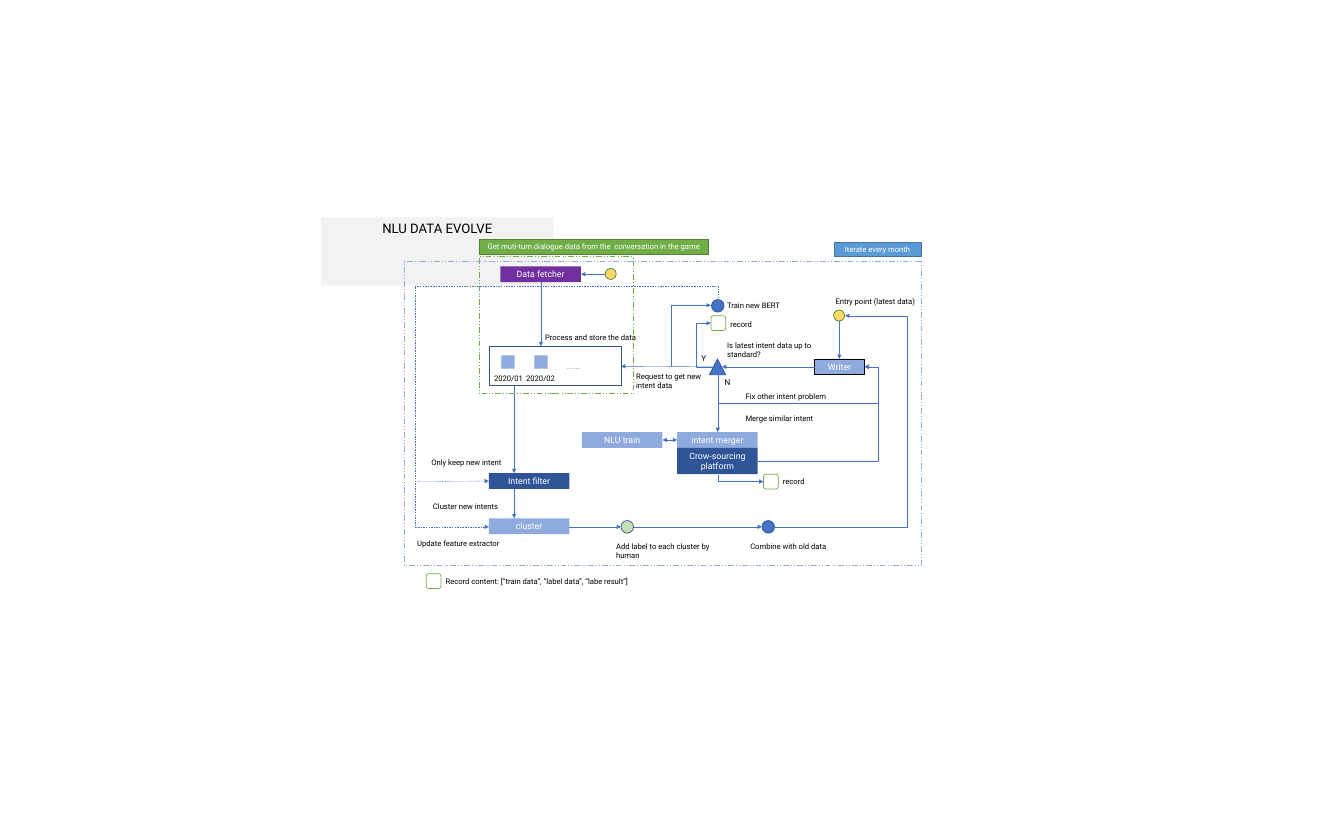
"""Build the NLU data evolve flow chart slide."""
from lxml import etree
from pptx import Presentation
from pptx import util as u
from pptx.dml.color import RGBColor
from pptx.enum import dml, shapes, text
from pptx.oxml.ns import qn

HUE = {
    "black": "000000", "white": "FFFFFF", "grey": "F2F2F2", "gold": "FFD966",
    "moss": "538035", "green": "70AD47", "mint": "C5E0B4", "plum": "7030A0",
    "pale": "8FAADC", "ice": "B4C7E7", "blue": "4472C4", "navy": "325491",
    "deep": "2F5597", "sky": "5B9BD5", "steel": "43739E",
}
KIND = shapes.MSO_SHAPE
DASH = dml.MSO_LINE

deck = Presentation()
deck.slide_width, deck.slide_height = u.Inches(25.54), u.Inches(15.77)
page = deck.slides.add_slide(deck.slide_layouts[6])


def draw(words, at, kind=None, fill=None, line=None, wide=1, dash=None,
         size=10.5, hue="black", top=False):
    """Add a shape of the given kind, or a text box when there is none."""
    spot = [u.Inches(n) for n in at]
    if kind is None:
        item = page.shapes.add_textbox(*spot)
    else:
        item = page.shapes.add_shape(kind, *spot)
        item.shadow.inherit = False
        if fill:
            item.fill.solid()
            item.fill.fore_color.rgb = RGBColor.from_string(HUE[fill])
        else:
            item.fill.background()
        if line:
            item.line.color.rgb = RGBColor.from_string(HUE[line])
            item.line.width = u.Pt(wide)
            item.line.dash_style = dash
        else:
            item.line.fill.background()
    if words:
        frame = item.text_frame
        frame.word_wrap = True
        middle = kind is not None and not top
        frame.vertical_anchor = text.MSO_ANCHOR.MIDDLE if middle else text.MSO_ANCHOR.TOP
        para = frame.paragraphs[0]
        para.alignment = text.PP_ALIGN.CENTER if kind is not None else text.PP_ALIGN.LEFT
        run = para.add_run()
        run.text = words
        run.font.size, run.font.name = u.Pt(size), "Roboto"
        run.font.color.rgb = RGBColor.from_string(HUE[hue])


def link(*stops, ends=("tail",), dash=None):
    """Join the stops; a bent route leaves its first stop sideways."""
    (x1, y1), (x2, y2) = stops[0], stops[-1]
    bent = len(stops) > 2
    sort = shapes.MSO_CONNECTOR.ELBOW if bent else shapes.MSO_CONNECTOR.STRAIGHT
    wire = page.shapes.add_connector(sort, *[u.Inches(n) for n in (x1, y1, x2, y2)])
    wire.line.color.rgb = RGBColor.from_string(HUE["blue"])
    wire.line.width = u.Pt(0.5)
    wire.line.dash_style = dash
    props = wire._element.spPr
    if bent:
        form = props.find(qn("a:prstGeom"))
        form.set("prst", f"bentConnector{len(stops) - 1}")
        bends = [(stops[1][0] - x1) / (x2 - x1), (stops[2][1] - y1) / (y2 - y1)]
        guides = form.find(qn("a:avLst"))
        for i, bend in enumerate(bends[:len(stops) - 3], 1):
            etree.SubElement(guides, qn("a:gd"), name=f"adj{i}",
                             fmla=f"val {round(bend * 100000)}")
    for end in ends:
        etree.SubElement(props.find(qn("a:ln")), qn(f"a:{end}End"), type="triangle")
    etree.SubElement(props, qn("a:effectLst"))


draw("NLU DATA EVOLVE", (6.1, 4.13, 4.42, 1.3), KIND.RECTANGLE, "grey", size=18, top=True)

for words, at, fill, line in [
    ("Get muti-turn dialogue data from the  conversation in the game",
     (9.11, 4.55, 4.35, 0.28), "green", "moss"),
    ("Iterate every month", (15.85, 4.6, 1.65, 0.28), "sky", "steel"),
]:
    draw(words, at, KIND.RECTANGLE, fill, line, hue="white")

for words, x, y, high, fill in [
    ("Data fetcher", 9.51, 5.06, 0.3, "plum"),
    ("NLU train", 11.06, 8.21, 0.3, "pale"),
    ("intent merger", 12.87, 8.21, 0.3, "pale"),
    ("Crow-sourcing platform", 12.87, 8.51, 0.5, "deep"),
    ("Intent filter", 9.29, 8.99, 0.3, "deep"),
    ("cluster", 9.29, 9.85, 0.3, "pale"),
]:
    draw(words, (x, y, 1.53, high), KIND.RECTANGLE, fill, size=12, hue="white")
draw("Writer", (15.48, 6.82, 0.95, 0.3), KIND.RECTANGLE, "pale", "black", 0.75,
     size=12, hue="white")

for x in (9.52, 10.16):
    draw("", (x, 6.75, 0.25, 0.25), KIND.RECTANGLE, "pale", "ice")
draw("", (9.29, 6.58, 2.52, 0.75), KIND.RECTANGLE, line="navy")
draw("", (13.48, 6.82, 0.31, 0.3), KIND.ISOSCELES_TRIANGLE, "blue", "navy")

for x, y, side, fill, line in [
    (11.5, 5.1, 0.21, "gold", "moss"), (15.84, 5.89, 0.21, "gold", "moss"),
    (13.52, 5.69, 0.24, "blue", "navy"), (11.8, 9.89, 0.24, "mint", "navy"),
    (14.48, 9.89, 0.24, "blue", "navy"),
]:
    draw("", (x, y, side, side), KIND.OVAL, fill, line)
for x, y in [(13.51, 6), (14.51, 9.01), (8.1, 10.9)]:
    draw("", (x, y, 0.28, 0.28), KIND.ROUNDED_RECTANGLE, "white", "green")

for start, stop in [
    ((11.5, 5.21), (11.04, 5.21)), ((10.28, 5.36), (10.28, 6.58)),
    ((15.48, 6.97), (13.72, 6.97)), ((13.56, 6.97), (11.8, 6.96)),
    ((13.64, 7.12), (13.64, 8.21)), ((15.95, 6.1), (15.95, 6.82)),
    ((9.77, 7.34), (9.77, 8.99)), ((9.77, 9.29), (9.77, 9.85)),
    ((10.82, 10.01), (11.8, 10.01)), ((12.04, 10.01), (14.48, 10.01)),
]:
    link(start, stop)
link((12.59, 8.36), (12.87, 8.36), ends=("head", "tail"))
link((7.95, 9.15), (9.29, 9.14), dash=DASH.DASH)

for (x1, y1), turn, (x2, y2) in [
    ((13.64, 7.67), 16.68, (16.43, 6.97)), ((14.41, 8.77), 16.68, (16.43, 6.97)),
    ((14.71, 10.01), 17.25, (16.06, 6)), ((13.56, 6.97), 13.23, (13.51, 6.14)),
]:
    link((x1, y1), (turn, y1), (turn, y2), (x2, y2))
link((13.51, 5.8), (12.76, 5.8), (12.76, 6.96), ends=("head",))
link((14.51, 9.15), (13.64, 9.15), (13.64, 9.02), ends=("head",))
link((9.29, 10.01), (7.88, 10.01), (7.88, 5.44), (13.64, 5.44), (13.64, 5.69),
     ends=("head",), dash=DASH.DASH)

for words, x, y, wide in [
    ("Process and store the data", 10.26, 6.27, 1.94),
    ("2020/01", 9.29, 7.06, 0.98),
    ("2020/02", 9.9, 7.06, 0.98),
    ("Is latest intent data up to standard?", 13.72, 6.42, 1.94),
    ("Request to get new intent data", 11.99, 7.02, 1.53),
    ("Fix other intent problem", 14.07, 7.39, 2.22),
    ("Merge similar intent", 14.07, 7.82, 1.53),
    ("Entry point (latest data)", 15.78, 5.59, 1.94),
    ("Train new BERT", 13.72, 5.67, 1.76),
    ("record", 13.78, 6.02, 0.84),
    ("record", 14.78, 9.01, 0.84),
    ("Only keep new intent", 8.1, 8.64, 1.94),
    ("Cluster new intents", 8.13, 9.48, 1.94),
    ("Update feature extractor", 7.83, 10.19, 1.94),
    ("Add label to each cluster by human", 11.61, 10.25, 2.03),
    ("Combine with old data", 14.16, 10.25, 2.03),
    ("Record content: [“train data”, “label data”, “labe result”]", 8.37, 10.92, 4.07),
]:
    draw(words, (x, y, wide, 0.28))
draw("Y", (13.23, 6.66, 0.25, 0.29), size=11)
draw("N", (13.67, 7.13, 0.25, 0.29), size=11)
draw("……", (10.67, 6.78, 0.7, 0.34), size=14, hue="pale")

for at, line in [((9.11, 4.87, 2.92, 2.61), "green"), ((7.68, 4.97, 9.83, 5.77), "pale")]:
    draw("", at, KIND.RECTANGLE, line=line, dash=DASH.DASH_DOT_DOT)

deck.save("out.pptx")
